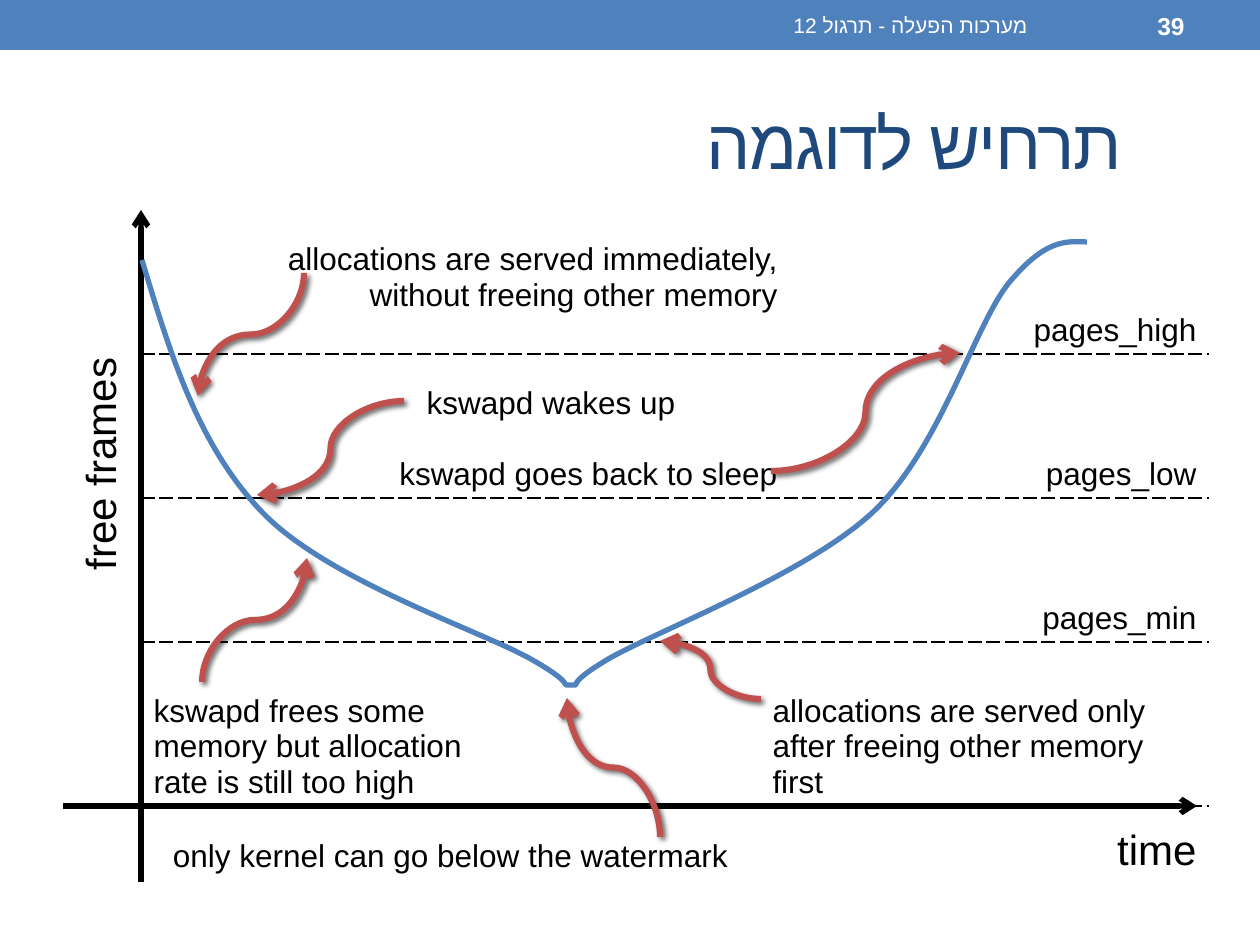
from pptx import Presentation, util as u
from pptx.dml import color
from pptx.enum import lang, shapes, text
from pptx.oxml import parse_xml, ns

HUES = {"bar": "4F81BD", "ink": "000000", "head": "1F497D", "paper": "FFFFFF", "arrow": "C0504D"}
SIDE = {"l": text.PP_ALIGN.LEFT, "c": text.PP_ALIGN.CENTER, "r": text.PP_ALIGN.RIGHT}
HEAD = f"<a:tailEnd {ns.nsdecls('a')} type='arrow'/>"


def px(n):
    """Turn pixels into EMU."""
    return round(n * u.Inches(1) / 126)


def rgb(name):
    """Look up a colour."""
    return color.RGBColor.from_string(HUES[name])


class Pen:
    """Holds the style and the slide being drawn."""

    font = "Arial"

    def __init__(self, slide):
        self.slide = slide

    def say(self, par, words, size, hue="ink", side="l", rtl=False, bold=False):
        """Add one run to a paragraph."""
        par.alignment = SIDE[side]
        run = par.add_run()
        run.text = words
        run.font.name, run.font.size, run.font.bold = self.font, u.Pt(size), bold
        run.font.color.rgb = rgb(hue)
        if rtl:
            par._p.get_or_add_pPr().set("rtl", "1")
            run.font.language_id = lang.MSO_LANGUAGE_ID.HEBREW
        props = run._r.get_or_add_rPr()
        props.append(parse_xml(f"<a:cs {ns.nsdecls('a')} typeface='{self.font}'/>"))
        return run

    def label(self, box, words, size, hue="ink", side="r", bold=False, turn=None):
        """Add a right-to-left text box."""
        frame = self.slide.shapes.add_textbox(*map(px, box)).text_frame
        frame.word_wrap = True
        if turn:
            frame._txBody.bodyPr.set("vert", turn)
        else:
            frame.vertical_anchor = text.MSO_ANCHOR.MIDDLE
        return self.say(frame.paragraphs[0], words, size, hue, side, True, bold)

    def bar(self, box, hue):
        """Add a plain filled rectangle."""
        shape = self.slide.shapes.add_shape(shapes.MSO_SHAPE.RECTANGLE, *map(px, box))
        shape.shadow.inherit = False
        shape.fill.solid()
        shape.fill.fore_color.rgb = rgb(hue)
        shape.line.fill.background()

    def link(self, kind, ends, hue, width, glow=""):
        """Add a connector with an arrowhead at its end."""
        link = self.slide.shapes.add_connector(kind, *map(px, ends))
        link.line.color.rgb, link.line.width = rgb(hue), u.Pt(width)
        link.line._get_or_add_ln().append(parse_xml(HEAD))
        link._element.spPr.append(parse_xml(f"<a:effectLst {ns.nsdecls('a')}>{glow}</a:effectLst>"))
        return link

    def axis(self, *ends):
        """Add a straight axis."""
        self.link(shapes.MSO_CONNECTOR.STRAIGHT, ends, "ink", 3)

    def swoop(self, ends, upright=False):
        """Add a curved arrow, leaving its start sideways or upright."""
        if upright:
            ax, ay, bx, by = ends
            cx, cy, dx, dy = (ax + bx) / 2, (ay + by) / 2, (bx - ax) / 2, (by - ay) / 2
            ends = cx - dy, cy + dx, cx + dy, cy - dx
        glow = ("<a:outerShdw blurRad='38100' dist='25400' dir='2700000'>"
                "<a:srgbClr val='000000'><a:alpha val='60000'/></a:srgbClr></a:outerShdw>")
        link = self.link(shapes.MSO_CONNECTOR.CURVE, ends, "arrow", 3.5, glow)
        if upright:
            link._element.spPr.find(ns.qn("a:xfrm")).set("rot", str(90 * 60000))

    def curve(self, start, points, hue, width):
        """Add an open outline whose points go by three as Bezier pieces."""
        maker = self.slide.shapes.build_freeform(*map(px, start))
        maker.add_line_segments([tuple(map(px, p)) for p in points], close=False)
        shape = maker.convert_to_shape()
        shape.shadow.inherit = False
        shape.fill.background()
        shape.line.color.rgb, shape.line.width = rgb(hue), u.Pt(width)
        track = shape._element.spPr.find(".//" + ns.qn("a:path"))
        steps = track.findall(ns.qn("a:lnTo"))
        for i in range(0, len(steps), 3):
            piece = parse_xml(f"<a:cubicBezTo {ns.nsdecls('a')}/>")
            for step in steps[i:i + 3]:
                piece.append(step[0])
                track.remove(step)
            track.append(piece)

    def edge(self, cell, dashed):
        """Dash the given sides of a cell and clear the others."""
        cell.fill.background()
        props = cell._tc.get_or_add_tcPr()
        for i, side in enumerate("LRTB"):
            ink = (f"<a:solidFill><a:srgbClr val='{HUES['ink']}'/></a:solidFill><a:prstDash val='dash'/>"
                   if side in dashed else "<a:noFill/>")
            props.insert(i, parse_xml(f"<a:ln{side} {ns.nsdecls('a')} w='12700'>{ink}</a:ln{side}>"))

    def grid(self, box, cols, rows, spans, notes):
        """Add a table with dashed lines between its rows."""
        table = self.slide.shapes.add_table(len(rows), len(cols), *map(px, box)).table
        table.first_row = table.horz_banding = False
        for col, n in zip(table.columns, cols):
            col.width = px(n)
        for row, n in zip(table.rows, rows):
            row.height = px(n)
        for r in range(len(rows)):
            for c in range(len(cols)):
                self.edge(table.cell(r, c), "T" * (r > 0) + "B" * (r < len(rows) - 1))
        for r, c, end in spans:
            table.cell(r, c).merge(table.cell(r, end))
        for r, c, size, gap, foot, lines in notes:
            cell = table.cell(r, c)
            cell.vertical_anchor = text.MSO_ANCHOR.BOTTOM
            cell.margin_bottom = px(foot)
            for i, (side, words) in enumerate(lines):
                par = cell.text_frame.add_paragraph() if i else cell.text_frame.paragraphs[0]
                if i and gap:
                    par.space_before = u.Pt(gap)
                self.say(par, words, size, side=side)


def main():
    """Build the slide."""
    deck = Presentation()
    deck.slide_width, deck.slide_height = px(1260), px(945)
    pen = Pen(deck.slides.add_slide(deck.slide_layouts[6]))

    pen.bar((0, 0, 1260, 50), "bar")
    pen.label((472, 3, 568, 45), "מערכות הפעלה - תרגול 12", 12, "paper")
    pen.label((1050, 3, 147, 45), "39", 14, "paper", bold=True)
    title = pen.label((0, 73, 1134, 136), "תרחיש לדוגמה", 40, "head")
    title._r.get_or_add_rPr().set("spc", "-100")

    spans = [(0, 0, 3), (1, 1, 3), (2, 0, 1), (2, 2, 3), (3, 0, 1), (3, 3, 5), (4, 0, 2), (4, 3, 5)]
    notes = [
        (0, 0, 18, 0, 41, [("r", "allocations are served immediately,"), ("r", "without freeing other memory")]),
        (1, 1, 18, 20, 6, [("c", "kswapd wakes up"), ("r", "kswapd goes back to sleep")]),
        (3, 0, 18, 0, 6, [("l", "kswapd frees some memory but allocation rate is still too high")]),
        (3, 3, 18, 0, 6, [("l", "allocations are served only after freeing other memory first")]),
        (4, 0, 18, 0, 6, [("c", "only kernel can go below the watermark")]),
        (4, 3, 24, 0, 6, [("r", "time")]),
    ]
    notes += [(r, 5, 18, 0, 6, [("r", "pages_" + mark)]) for r, mark in enumerate(("high", "low", "min"))]
    pen.grid((141, 210, 1056, 670), (171, 173, 275, 18, 229, 190), (144, 144, 144, 164, 74), spans, notes)

    pen.axis(63, 806, 1197, 806)
    pen.axis(141, 882, 141, 210)
    pen.curve((142, 260), [
        (170, 353), (198, 446), (263, 513), (328, 580), (478, 630), (529, 658),
        (581, 687), (557, 685), (571, 685), (585, 685), (559, 688), (610, 658),
        (662, 629), (808, 573), (873, 512), (940, 449), (973, 329), (1008, 284),
        (1045, 239), (1066, 241), (1087, 242)], "bar", 3)
    pen.swoop((304, 273, 198, 396), upright=True)
    pen.swoop((404, 401, 257, 495))
    pen.swoop((202, 682, 307, 558), upright=True)
    pen.label((68, 324, 77, 280), "free frames", 24, side="c", turn="vert270")
    pen.swoop((771, 471, 960, 353))
    pen.swoop((660, 837, 567, 698), upright=True)
    pen.swoop((761, 699, 660, 641))
    deck.save("out.pptx")


if __name__ == "__main__":
    main()
